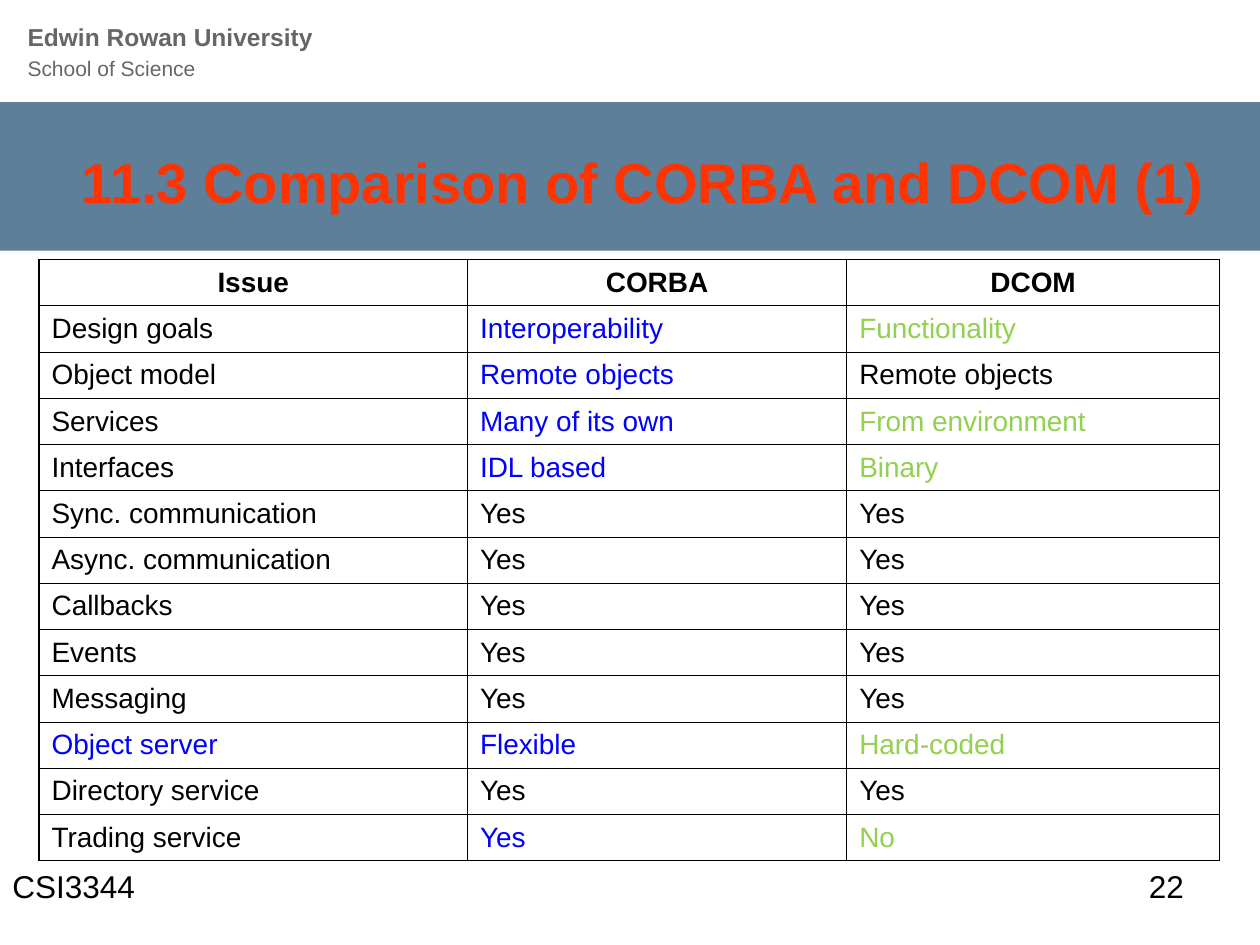
from lxml import etree
from pptx import Presentation
from pptx.dml.color import RGBColor
from pptx.enum.shapes import MSO_SHAPE
from pptx.enum.text import MSO_ANCHOR, MSO_AUTO_SIZE, PP_ALIGN
from pptx.oxml.ns import qn
from pptx.util import Inches, Pt

COLORS = {
    "band": "5D7F9A",
    "header": "666666",
    "title": "FF3300",
    "black": "000000",
    "blue": "0000FF",
    "green": "92D050",
}
THIN, THICK = Pt(0.45), Pt(1.08)


def format_run(run, size, color, bold=False):
    run.font.name = "Arial"
    run.font.size = Pt(size)
    run.font.bold = bold
    run.font.color.rgb = RGBColor.from_string(COLORS[color])


def set_borders(cell, widths):
    """Draw solid black borders; widths go left, right, top, bottom."""
    properties = cell._tc.get_or_add_tcPr()
    for index, (side, width) in enumerate(zip(("lnL", "lnR", "lnT", "lnB"), widths)):
        line = etree.Element(qn(f"a:{side}"), w=str(width))
        fill = etree.SubElement(line, qn("a:solidFill"))
        etree.SubElement(fill, qn("a:srgbClr"), val=COLORS["black"])
        properties.insert(index, line)


presentation = Presentation()
presentation.slide_width = Inches(10)
presentation.slide_height = Inches(7.5)
slide = presentation.slides.add_slide(presentation.slide_layouts[5])

# Title on its band
title = slide.shapes.title
title.left, title.top = Inches(0.51), Inches(1.09)
title.width, title.height = Inches(9.15), Inches(0.7)
title.text_frame.text = "11.3 Comparison of CORBA and DCOM (1)"
title.text_frame.vertical_anchor = MSO_ANCHOR.MIDDLE
title.text_frame.auto_size = MSO_AUTO_SIZE.NONE
paragraph = title.text_frame.paragraphs[0]
paragraph.alignment = PP_ALIGN.RIGHT
format_run(paragraph.runs[0], 32, "title", bold=True)

band = slide.shapes.add_shape(
    MSO_SHAPE.RECTANGLE, Inches(0), Inches(0.81), Inches(10.04), Inches(1.18))
band.shadow.inherit = False
band.fill.solid()
band.fill.fore_color.rgb = RGBColor.from_string(COLORS["band"])
band.line.fill.background()
title._element.addprevious(band._element)

# School header
header = slide.shapes.add_textbox(Inches(0.12), Inches(0.13), Inches(5.89), Inches(0.57))
header.text_frame.word_wrap = True
paragraph = header.text_frame.paragraphs[0]
paragraph.text = "Edwin Rowan University\vSchool of Science"
paragraph.line_spacing = Pt(16.7)
paragraph.space_before = Pt(7.5)
university, school = paragraph.runs
format_run(university, 14, "header", bold=True)
format_run(school, 12, "header")

# Footer
for text, left, width in (("CSI3344", 0, 2.33), ("22", 9.02, 0.98)):
    footer = slide.shapes.add_textbox(Inches(left), Inches(6.83), Inches(width), Inches(0.5))
    footer.text_frame.word_wrap = True
    footer.text_frame.text = text
    format_run(footer.text_frame.paragraphs[0].runs[0], 18, "black")

# Comparison table: each row has its texts and their colours
plain = ("black", "black", "black")
contrast = ("black", "blue", "green")
rows = [
    (("Issue", "CORBA", "DCOM"), plain),
    (("Design goals", "Interoperability", "Functionality"), contrast),
    (("Object model", "Remote objects", "Remote objects"), ("black", "blue", "black")),
    (("Services", "Many of its own", "From environment"), contrast),
    (("Interfaces", "IDL based", "Binary"), contrast),
    (("Sync. communication", "Yes", "Yes"), plain),
    (("Async. communication", "Yes", "Yes"), plain),
    (("Callbacks", "Yes", "Yes"), plain),
    (("Events", "Yes", "Yes"), plain),
    (("Messaging", "Yes", "Yes"), plain),
    (("Object server", "Flexible", "Hard-coded"), ("blue", "blue", "green")),
    (("Directory service", "Yes", "Yes"), plain),
    (("Trading service", "Yes", "No"), contrast),
]
column_widths = (3.4, 3.01, 2.96)
table = slide.shapes.add_table(
    len(rows), len(column_widths),
    Inches(0.31), Inches(2.06), Inches(9.37), Inches(4.77)).table
table.horz_banding = False
for column, width in zip(table.columns, column_widths):
    column.width = Inches(width)

last_row, last_column = len(rows) - 1, len(column_widths) - 1
for row_index, (texts, colors) in enumerate(rows):
    for column_index, (text, color) in enumerate(zip(texts, colors)):
        cell = table.cell(row_index, column_index)
        cell.text_frame.text = text
        cell.vertical_anchor = MSO_ANCHOR.MIDDLE
        cell.fill.background()
        is_heading = row_index == 0
        paragraph = cell.text_frame.paragraphs[0]
        paragraph.space_before = Pt(4)
        paragraph.alignment = PP_ALIGN.CENTER if is_heading else PP_ALIGN.LEFT
        format_run(paragraph.runs[0], 16, color, bold=is_heading)
        on_edge = (column_index == 0, column_index == last_column,
                   row_index == 0, row_index == last_row)
        set_borders(cell, [THICK if edge else THIN for edge in on_edge])

presentation.save("out.pptx")
